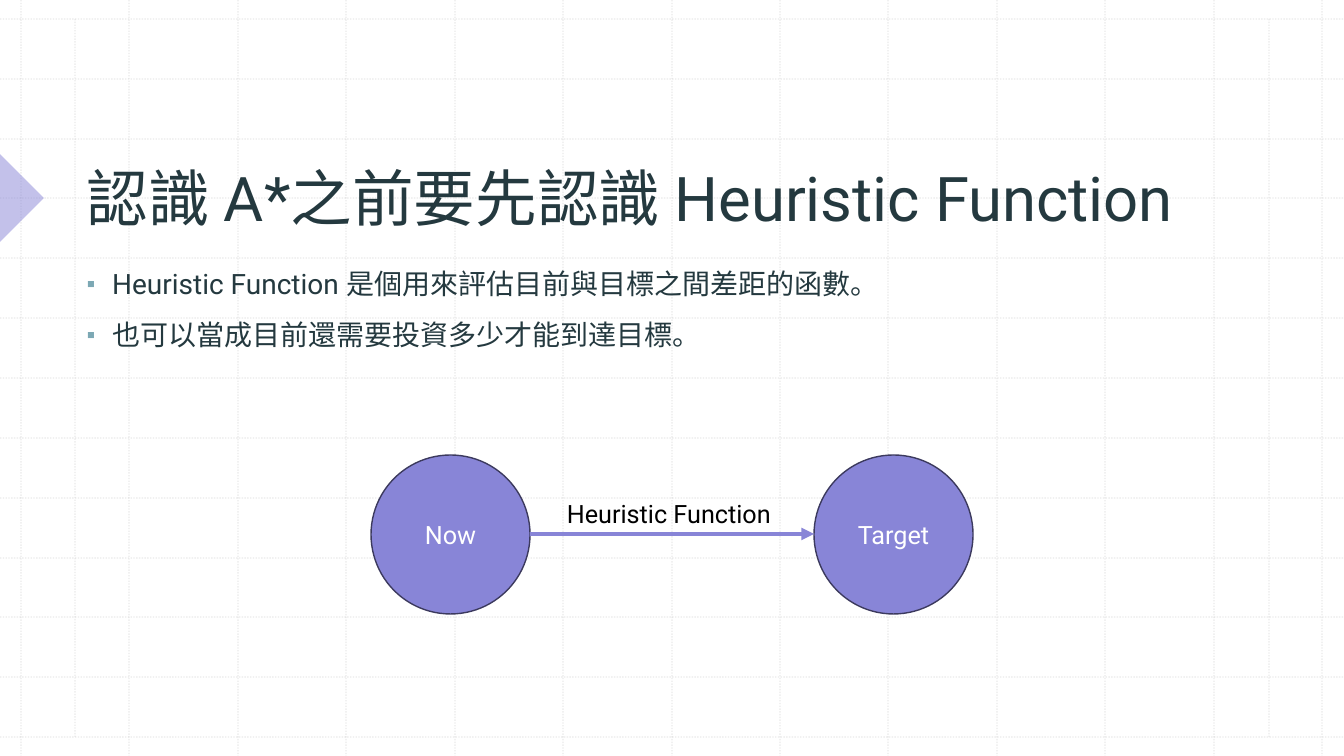
"""Build a slide that introduces the heuristic function behind A*."""
from dataclasses import dataclass

from lxml import etree
from pptx import Presentation
from pptx import util as u
from pptx.dml.color import RGBColor
from pptx.enum import dml, shapes, text
from pptx.oxml.ns import qn

PX = 914400 / 100.8
WIDTH, HEIGHT = 1344, 756
FONT = "Roboto"
COLORS = {
    "grid": "BCBCBC",
    "violet": "8885D7",
    "outline": "3C3A5E",
    "ink": "24393F",
    "bullet": "7CA8B4",
    "white": "FFFFFF",
    "black": "000000",
}


@dataclass(frozen=True)
class Line:
    start: tuple[int, int]
    end: tuple[int, int]
    color: str
    points: float


@dataclass(frozen=True)
class Node:
    label: str
    left: int
    top: int = 455
    size: int = 159


@dataclass(frozen=True)
class Copy:
    lines: tuple[str, ...]
    area: tuple[int, int, int, int]
    points: int
    color: str = "ink"


def px(value: float) -> u.Emu:
    return u.Emu(round(value * PX))


def rgb(name: str) -> RGBColor:
    return RGBColor.from_string(COLORS[name])


def set_alpha(fill_parent, percent: int) -> None:
    color = fill_parent.find(f"{qn('a:solidFill')}/{qn('a:srgbClr')}")
    etree.SubElement(color, qn("a:alpha"), val=str(percent * 1000))


def add_span(para, words: str, points: int, color: str) -> None:
    span = para.add_run()
    span.text = words
    span.font.name = FONT
    span.font.size = u.Pt(points)
    span.font.color.rgb = rgb(color)


def add_line(page, item: Line):
    line = page.shapes.add_connector(
        shapes.MSO_CONNECTOR.STRAIGHT, *map(px, item.start + item.end))
    line.line.color.rgb = rgb(item.color)
    line.line.width = u.Pt(item.points)
    etree.SubElement(line._element.spPr, qn("a:effectLst"))
    return line


def add_grid(page) -> None:
    left, right, top, bottom, steps = 21, 1322, 19, 737, 12
    columns = [round(left + i * (right - left) / steps) for i in range(steps + 1)]
    rows = [round(top + i * (bottom - top) / steps) for i in range(steps + 1)]
    grid = [((x, 0), (x, HEIGHT)) for x in columns]
    grid += [((0, y), (WIDTH, y)) for y in rows]
    grid += [((x, top), (x, bottom)) for x in (75, 1269)]
    for start, end in grid:
        line = add_line(page, Line(start, end, "grid", 1))
        line.line.dash_style = dml.MSO_LINE.ROUND_DOT
        set_alpha(line.line._ln, 30)


def add_marker(page) -> None:
    marker = page.shapes.add_shape(
        shapes.MSO_SHAPE.RIGHT_TRIANGLE, *map(px, (-31, 167, 62, 62)))
    marker.rotation = 225
    marker.shadow.inherit = False
    marker.fill.solid()
    marker.fill.fore_color.rgb = rgb("violet")
    set_alpha(marker._element.spPr, 50)
    marker.line.fill.background()


def add_copy(page, item: Copy):
    box = page.shapes.add_textbox(*map(px, item.area))
    frame = box.text_frame
    frame.word_wrap = True
    for index, words in enumerate(item.lines):
        para = frame.add_paragraph() if index else frame.paragraphs[0]
        add_span(para, words, item.points, item.color)
    return frame


def add_bullets(frame) -> None:
    for index, para in enumerate(frame.paragraphs):
        props = para._p.get_or_add_pPr()
        props.set("marL", str(u.Inches(0.25)))
        props.set("indent", str(-u.Inches(0.25)))
        color = etree.SubElement(props, qn("a:buClr"))
        etree.SubElement(color, qn("a:srgbClr"), val=COLORS["bullet"])
        etree.SubElement(props, qn("a:buSzPct"), val="75000")
        etree.SubElement(props, qn("a:buFont"), typeface=FONT)
        etree.SubElement(props, qn("a:buChar"), char="▪")
        para.line_spacing = 1.1
        if index:
            para.space_before = u.Pt(10)


def add_node(page, node: Node) -> None:
    circle = page.shapes.add_shape(
        shapes.MSO_SHAPE.FLOWCHART_CONNECTOR,
        *map(px, (node.left, node.top, node.size, node.size)))
    circle.shadow.inherit = False
    circle.fill.solid()
    circle.fill.fore_color.rgb = rgb("violet")
    circle.line.color.rgb = rgb("outline")
    circle.line.width = u.Pt(1)
    circle.text_frame.vertical_anchor = text.MSO_ANCHOR.MIDDLE
    para = circle.text_frame.paragraphs[0]
    para.alignment = text.PP_ALIGN.CENTER
    add_span(para, node.label, 18, "white")


def main() -> None:
    deck = Presentation()
    deck.slide_width, deck.slide_height = px(WIDTH), px(HEIGHT)
    page = deck.slides.add_slide(deck.slide_layouts[6])
    add_grid(page)
    add_marker(page)

    title = add_copy(page, Copy(
        ("認識 A*之前要先認識 Heuristic Function",), (77, 80, 1138, 159), 44))
    title.vertical_anchor = text.MSO_ANCHOR.BOTTOM
    add_bullets(add_copy(page, Copy(
        ("Heuristic Function 是個用來評估目前與目標之間差距的函數。",
         "也可以當成目前還需要投資多少才能到達目標。"),
        (77, 258, 1138, 393), 20)))

    now, target = Node("Now", 371), Node("Target", 814)
    for node in (now, target):
        add_node(page, node)
    middle = now.top + now.size // 2
    arrow = add_line(page, Line(
        (now.left + now.size, middle), (target.left, middle), "violet", 3))
    etree.SubElement(arrow.line._ln, qn("a:tailEnd"), type="triangle")

    label = add_copy(page, Copy(
        ("Heuristic Function",), (557, 493, 229, 40), 18, "black"))
    label.word_wrap = False
    label.auto_size = text.MSO_AUTO_SIZE.SHAPE_TO_FIT_TEXT
    deck.save("out.pptx")


if __name__ == "__main__":
    main()
